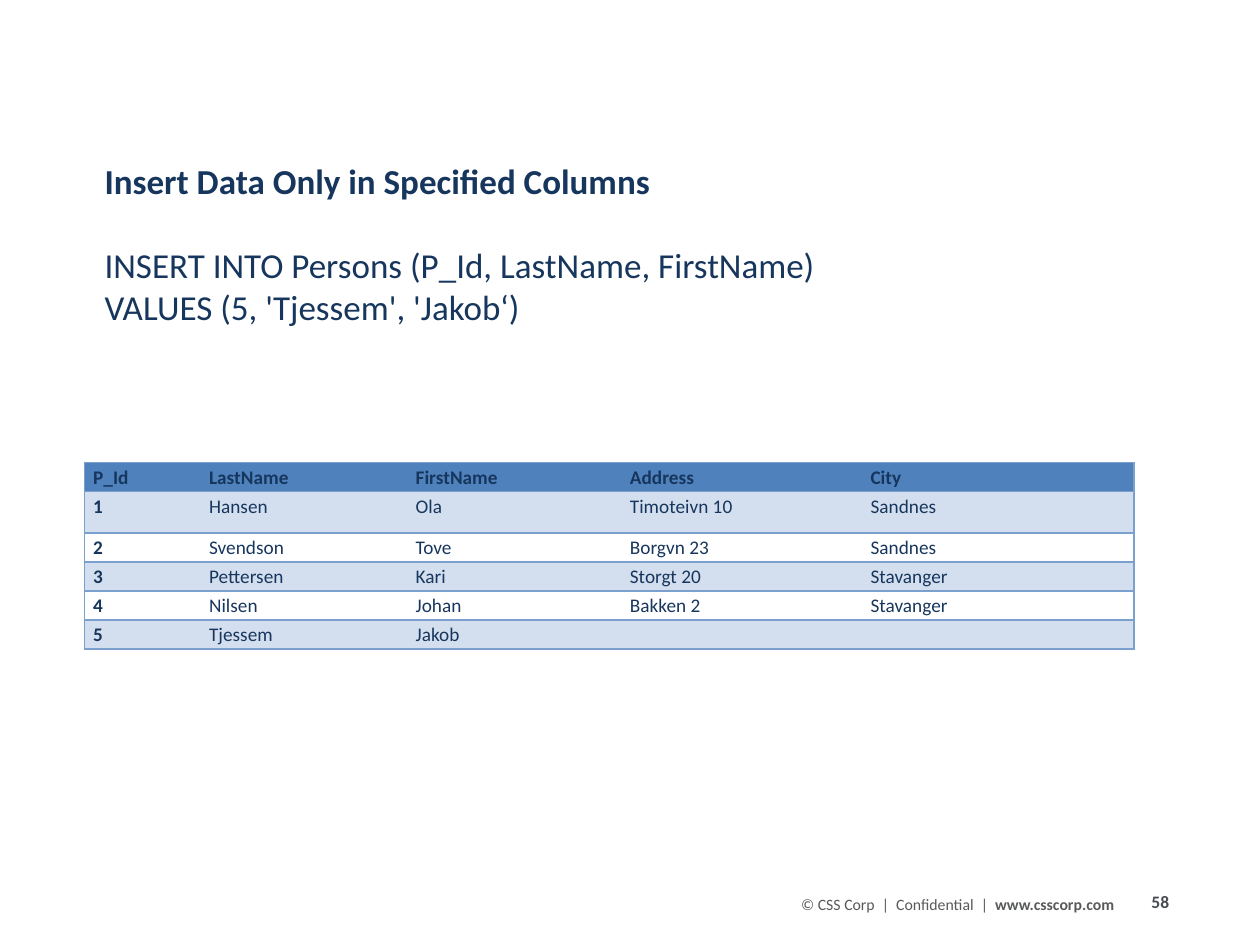
from lxml import etree
from pptx import Presentation
from pptx.dml.color import RGBColor
from pptx.enum import text
from pptx.oxml import ns
from pptx.util import Inches, Pt

FONT = "Calibri"
COLORS = {
    "navy": "17365D",
    "header": "4F81BD",
    "band": "D3DFEE",
    "rule": "7BA0CD",
    "page": "484C52",
    "footer": "58595B",
}
COLUMN_WIDTHS = [0.92, 1.64, 1.7, 1.91, 2.16]
ROW_HEIGHTS = [0.23, 0.33, 0.23, 0.23, 0.23, 0.23]
PERSONS = [
    ["P_Id", "LastName", "FirstName", "Address", "City"],
    ["1", "Hansen", "Ola", "Timoteivn 10", "Sandnes"],
    ["2", "Svendson", "Tove", "Borgvn 23", "Sandnes"],
    ["3", "Pettersen", "Kari", "Storgt 20", "Stavanger"],
    ["4", "Nilsen", "Johan", "Bakken 2", "Stavanger"],
    ["5", "Tjessem", "Jakob", "", ""],
]


def add_run(paragraph, wording, size, color, bold=False):
    run = paragraph.add_run()
    run.text = wording
    run.font.name = FONT
    run.font.size = Pt(size)
    run.font.bold = bold
    run.font.color.rgb = RGBColor.from_string(COLORS[color])


def add_text_frame(slide, left, top, width, height, side_inset=0.1):
    frame = slide.shapes.add_textbox(
        Inches(left), Inches(top), Inches(width), Inches(height)).text_frame
    frame.word_wrap = True
    frame.margin_left = frame.margin_right = Inches(side_inset)
    return frame


def add_statement(slide):
    frame = add_text_frame(slide, 0.83, 1.21, 7.67, 1.45, side_inset=0)
    frame.vertical_anchor = text.MSO_ANCHOR.MIDDLE
    add_run(frame.paragraphs[0], "Insert Data Only in Specified Columns", 20, "navy", True)
    statement = frame.add_paragraph()
    statement.space_before = Pt(24)
    add_run(statement, "INSERT INTO Persons (P_Id, LastName, FirstName)", 20, "navy")
    statement.add_line_break()
    add_run(statement, "VALUES (5, 'Tjessem', 'Jakob‘)", 20, "navy")


def set_borders(cell, ruled_sides):
    """Rule the given sides (letters of LRTB) and clear the others."""
    properties = cell._tc.get_or_add_tcPr()
    for side in "LRTB":
        line = etree.SubElement(properties, ns.qn(f"a:ln{side}"), w=str(Pt(1)))
        if side in ruled_sides:
            fill = etree.SubElement(line, ns.qn("a:solidFill"))
            etree.SubElement(fill, ns.qn("a:srgbClr"), val=COLORS["rule"])
        else:
            etree.SubElement(line, ns.qn("a:noFill"))


def fill_cell(cell, wording, bold, fill_color):
    cell.margin_left = cell.margin_right = Inches(0.07)
    cell.margin_top = cell.margin_bottom = 0
    paragraph = cell.text_frame.paragraphs[0]
    paragraph.line_spacing = 1.15
    if wording:
        add_run(paragraph, wording, 11, "navy", bold)
    else:
        # An empty cell would otherwise stretch its row to the default size
        paragraph._p.get_or_add_endParaRPr().set("sz", "1100")
    if fill_color:
        cell.fill.solid()
        cell.fill.fore_color.rgb = RGBColor.from_string(COLORS[fill_color])
    else:
        cell.fill.background()


def add_persons_table(slide):
    table = slide.shapes.add_table(
        len(PERSONS), len(COLUMN_WIDTHS), Inches(0.67), Inches(3.67),
        Inches(sum(COLUMN_WIDTHS)), Inches(sum(ROW_HEIGHTS))).table
    table.horz_banding = False
    table.first_row = False
    for column, width in zip(table.columns, COLUMN_WIDTHS):
        column.width = Inches(width)
    for row, height in zip(table.rows, ROW_HEIGHTS):
        row.height = Inches(height)

    last_column = len(COLUMN_WIDTHS) - 1
    outer_sides = {0: "L", last_column: "R"}
    for r, person in enumerate(PERSONS):
        fill_color = "header" if r == 0 else "band" if r % 2 else None
        for c, wording in enumerate(person):
            cell = table.cell(r, c)
            set_borders(cell, "TB" + outer_sides.get(c, ""))
            fill_cell(cell, wording, r == 0 or c == 0, fill_color)


def add_footer(slide):
    page = add_text_frame(slide, 9.04, 7.02, 0.79, 0.27).paragraphs[0]
    add_run(page, "58", 10, "page", True)
    credit = add_text_frame(slide, 6.26, 7.05, 3.08, 0.25).paragraphs[0]
    add_run(credit, "© CSS Corp  |  Confidential  |  ", 9, "footer")
    add_run(credit, "www.csscorp.com", 9, "footer", True)


def main():
    presentation = Presentation()
    presentation.slide_width = Inches(10)
    presentation.slide_height = Inches(7.5)
    slide = presentation.slides.add_slide(presentation.slide_layouts[6])
    add_footer(slide)
    add_persons_table(slide)
    add_statement(slide)
    presentation.save("out.pptx")


if __name__ == "__main__":
    main()
